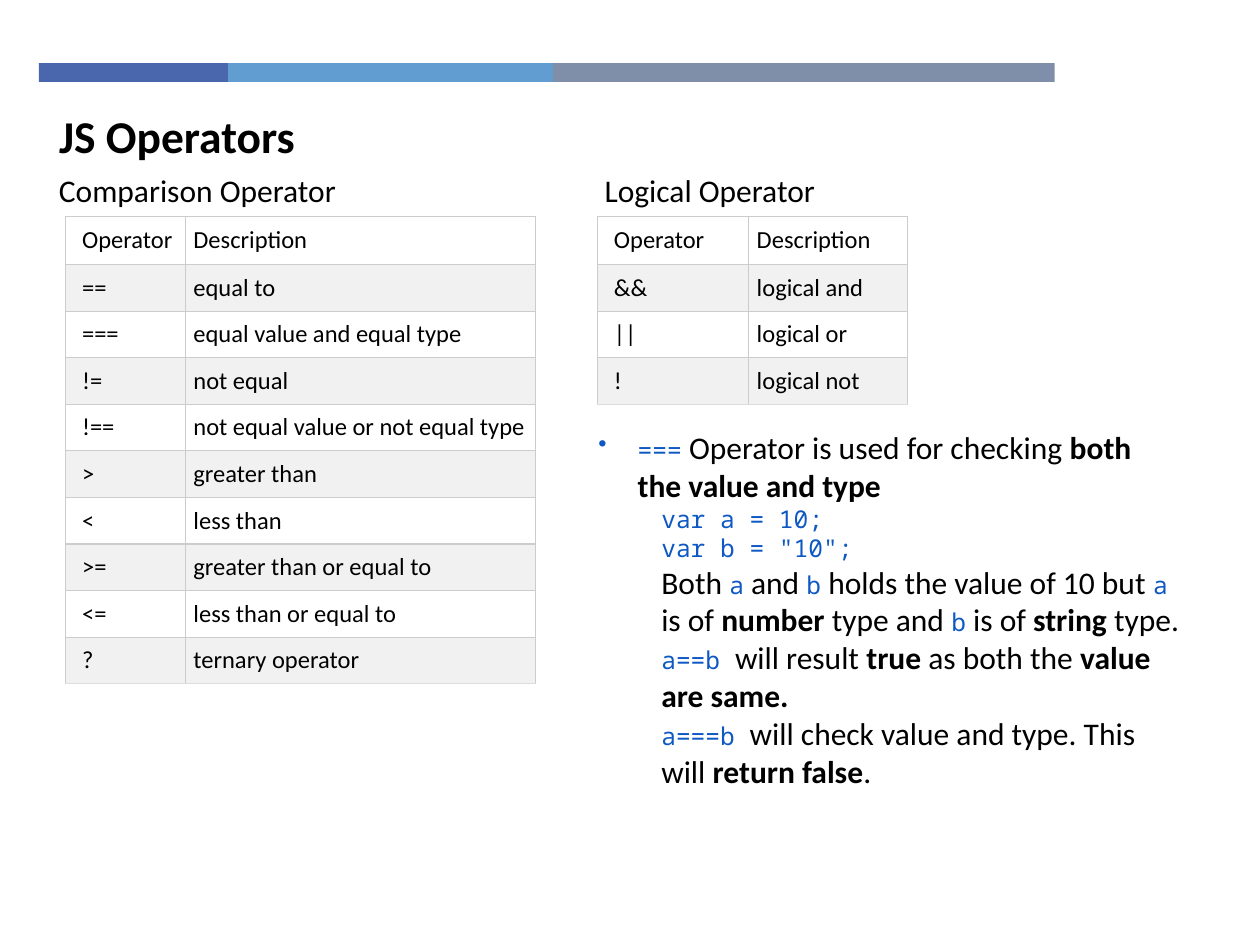
import pptx
import pptx.dml.color
import pptx.enum.shapes
import pptx.enum.text
import pptx.oxml.ns
import pptx.util
from dataclasses import dataclass
from lxml import etree

Pt = pptx.util.Pt
RGBColor = pptx.dml.color.RGBColor
qn = pptx.oxml.ns.qn


@dataclass(frozen=True)
class Theme:
    sans: str = "Calibri"
    mono: str = "Noto Sans Mono"
    ink: str = "000000"
    code: str = "0E58C4"
    plain_row: str = "FFFFFF"
    banded_row: str = "F1F1F1"
    border: str = "CCCCCC"
    last_border: str = "DDDDDD"
    ribbon: tuple = ("4A66AC", "629DD1", "7F8FA9")
    title_size: int = 26
    text_size: int = 18
    small_size: int = 14

    def font(self, style):
        """Return the font values for title, text, bold, cell or code."""
        sizes = {"title": self.title_size, "cell": self.small_size, "code": self.small_size}
        is_code = style == "code"
        return {
            "name": self.mono if is_code else self.sans,
            "size": Pt(sizes.get(style, self.text_size)),
            "bold": style in ("title", "bold"),
            "color": self.code if is_code else self.ink,
        }


class SlideBuilder:
    def __init__(self, deck, theme):
        self.theme = theme
        self.slide = deck.slides.add_slide(deck.slide_layouts[5])

    def add_span(self, para, text, style):
        span = para.add_run()
        span.text = text
        for name, value in self.theme.font(style).items():
            if name == "color":
                span.font.color.rgb = RGBColor.from_string(value)
            else:
                setattr(span.font, name, value)

    def add_ribbon(self, left, top, height, widths):
        for width, color in zip(widths, self.theme.ribbon):
            band = self.slide.shapes.add_shape(
                pptx.enum.shapes.MSO_SHAPE.RECTANGLE, Pt(left), Pt(top), Pt(width), Pt(height))
            band.shadow.inherit = False
            band.fill.solid()
            band.fill.fore_color.rgb = RGBColor.from_string(color)
            band.line.fill.background()
            left += width

    def add_title(self, text, left, top, width, height):
        title = self.slide.shapes.title
        place = {"left": left, "top": top, "width": width, "height": height}
        for name, value in place.items():
            setattr(title, name, Pt(value))
        title.text_frame.auto_size = pptx.enum.text.MSO_AUTO_SIZE.NONE
        para = title.text_frame.paragraphs[0]
        para.alignment = pptx.enum.text.PP_ALIGN.LEFT
        self.add_span(para, text, "title")

    def add_text(self, paragraphs, left, top, width, height):
        """Add a text box; each paragraph is a list of (text, style) pairs."""
        box = self.slide.shapes.add_textbox(Pt(left), Pt(top), Pt(width), Pt(height))
        frame = box.text_frame
        frame.word_wrap = True
        frame.auto_size = pptx.enum.text.MSO_AUTO_SIZE.SHAPE_TO_FIT_TEXT
        for index, spans in enumerate(paragraphs):
            para = frame.paragraphs[0] if index == 0 else frame.add_paragraph()
            for text, style in spans:
                self.add_span(para, text, style)
        return frame

    def indent(self, para, margin, first_line=0, bullet=None):
        properties = para._p.get_or_add_pPr()
        properties.set("marL", str(Pt(margin)))
        properties.set("indent", str(Pt(first_line)))
        if bullet:
            etree.SubElement(properties, qn("a:buChar")).set("char", bullet)

    def add_borders(self, cell, bottom_color):
        properties = cell._tc.get_or_add_tcPr()
        for side in "LRTB":
            line = etree.SubElement(properties, qn(f"a:ln{side}"), w=str(Pt(0.75)))
            fill = etree.SubElement(line, qn("a:solidFill"))
            color = bottom_color if side == "B" else self.theme.border
            etree.SubElement(fill, qn("a:srgbClr"), val=color)

    def add_table(self, rows, left, top, widths, header_height=27.36, row_height=26.64):
        height = header_height + row_height * (len(rows) - 1)
        table = self.slide.shapes.add_table(
            len(rows), len(widths), Pt(left), Pt(top), Pt(sum(widths)), Pt(height)).table
        table.first_row = table.horz_banding = False
        for column, width in zip(table.columns, widths):
            column.width = Pt(width)
        for row_index, texts in enumerate(rows):
            table.rows[row_index].height = Pt(row_height if row_index else header_height)
            is_last = row_index == len(rows) - 1
            for column_index, text in enumerate(texts):
                cell = table.cell(row_index, column_index)
                margins = {"left": 4.75 if column_index else 9.5,
                           "top": 4.75, "right": 4.75, "bottom": 4.75}
                for side, margin in margins.items():
                    setattr(cell, f"margin_{side}", Pt(margin))
                self.add_borders(cell, self.theme.last_border if is_last else self.theme.border)
                cell.fill.solid()
                cell.fill.fore_color.rgb = RGBColor.from_string(
                    self.theme.banded_row if row_index % 2 else self.theme.plain_row)
                self.add_span(cell.text_frame.paragraphs[0], text, "cell")


HEADER = ("Operator", "Description")
COMPARISON = [
    HEADER,
    ("==", "equal to"),
    ("===", "equal value and equal type"),
    ("!=", "not equal"),
    ("!==", "not equal value or not equal type"),
    (">", "greater than"),
    ("<", "less than"),
    (">=", "greater than or equal to"),
    ("<=", "less than or equal to"),
    ("?", "ternary operator"),
]
LOGICAL = [HEADER, ("&&", "logical and"), ("||", "logical or"), ("!", "logical not")]
EXPLANATION = [
    [("===", "code"), (" Operator is used for checking ", "text"),
     ("both the value and type", "bold")],
    [("var a = 10;", "code")],
    [('var b = "10";', "code")],
    [("Both ", "text"), ("a", "code"), (" and ", "text"), ("b", "code"),
     (" holds the value of 10 but ", "text"), ("a", "code"), (" is of ", "text"),
     ("number", "bold"), (" type and ", "text"), ("b", "code"), (" is of ", "text"),
     ("string", "bold"), (" type.", "text")],
    [("a==b ", "code"), ("will result ", "text"), ("true", "bold"),
     (" as both the ", "text"), ("value are same.", "bold")],
    [("a===b ", "code"), ("will check value and type. This will ", "text"),
     ("return false", "bold"), (".", "text")],
]


def main():
    deck = pptx.Presentation()
    deck.slide_width, deck.slide_height = Pt(720), Pt(540)
    builder = SlideBuilder(deck, Theme())
    builder.add_ribbon(22.3, 36, 10.8, (108, 185.8, 286.6))
    builder.add_title("JS Operators", 26.6, 57.6, 515.5, 38.9)

    sections = [
        ("Comparison Operator", 26.6, COMPARISON, 37.4, (68.4, 200.2)),
        ("Logical Operator", 338.4, LOGICAL, 341.3, (86.4, 90.7)),
    ]
    for heading, heading_left, rows, table_left, widths in sections:
        builder.add_text([[(heading, "text")]], heading_left, 94.3, 183.6, 28.8)
        builder.add_table(rows, table_left, 123.8, widths)

    frame = builder.add_text(EXPLANATION, 334.8, 241.2, 347, 216)
    first, *details = frame.paragraphs
    builder.indent(first, 22.5, -22.5, "•")
    for para in details:
        para.level = 1
        builder.indent(para, 36)
    deck.save("out.pptx")


if __name__ == "__main__":
    main()
